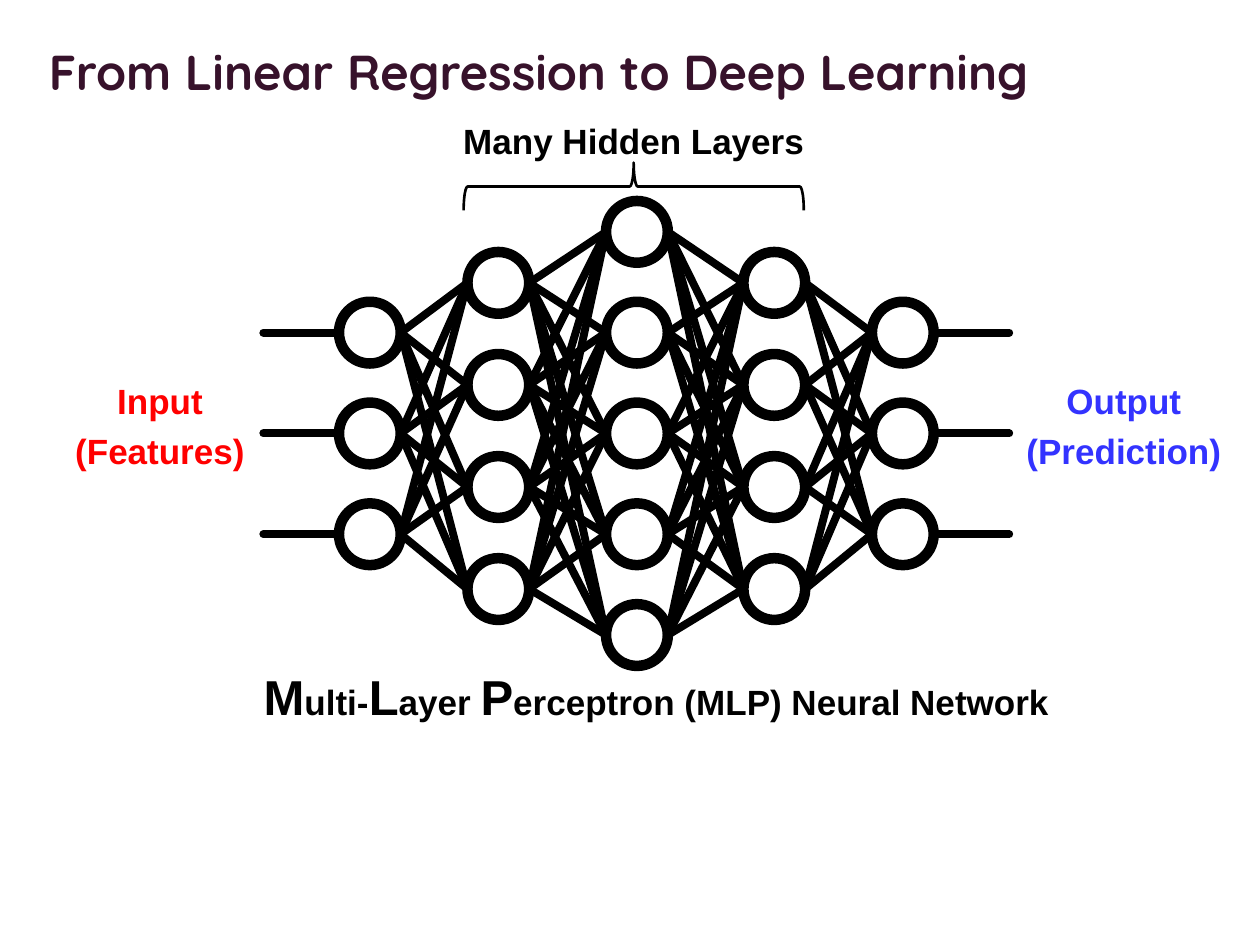
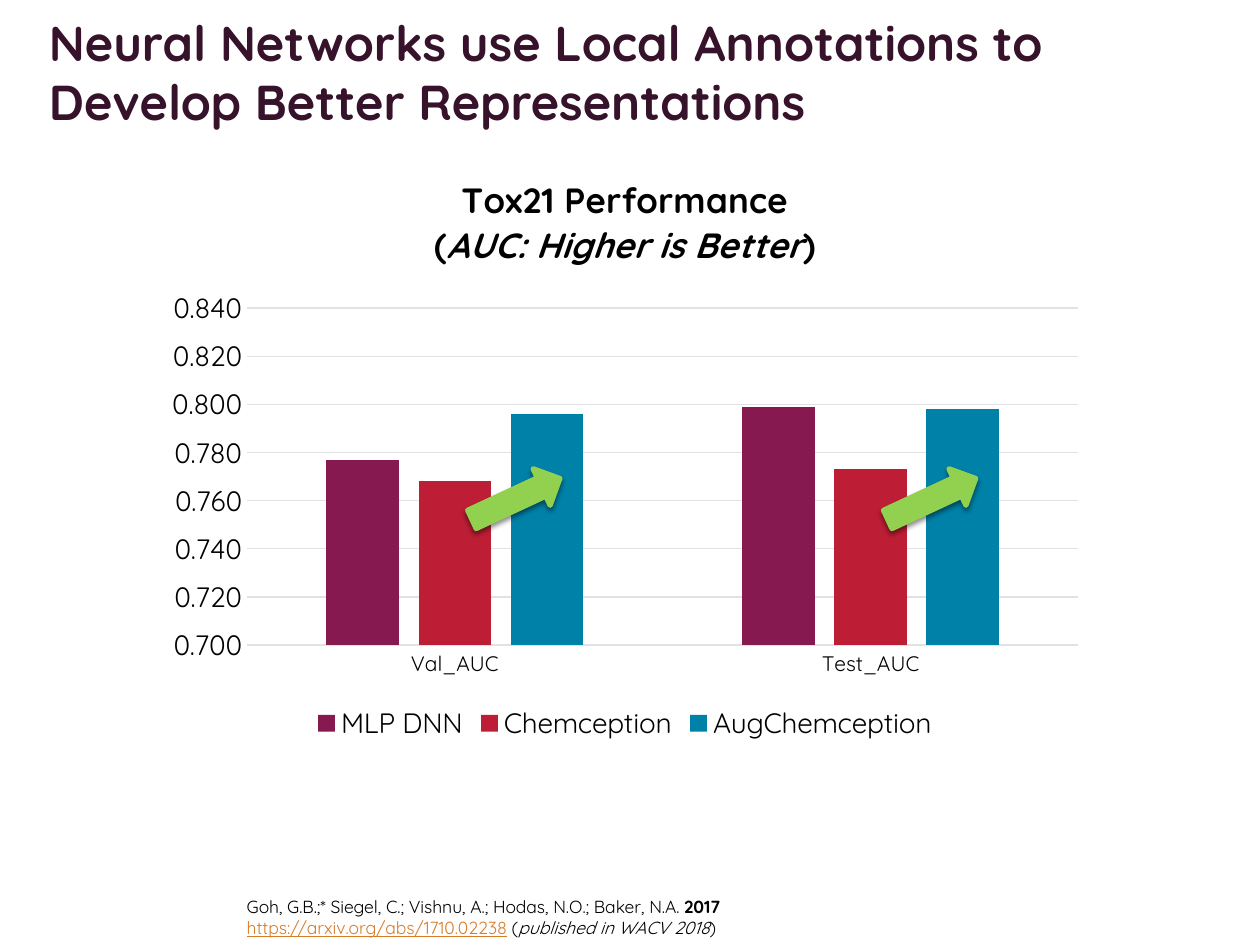
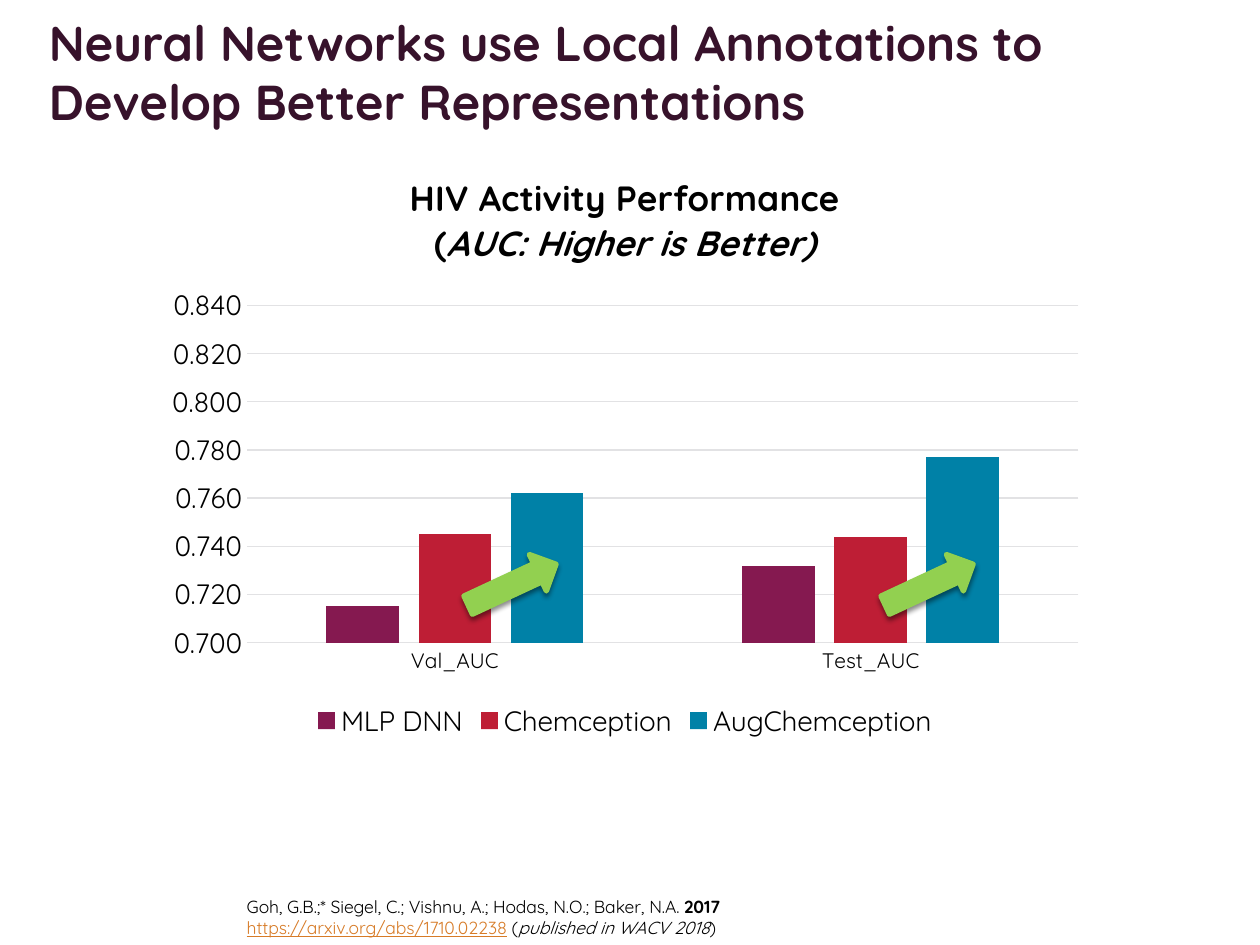
import itertools

import lxml.etree
import pptx
import pptx.chart.data
import pptx.dml.color
import pptx.enum.chart
import pptx.enum.shapes
import pptx.enum.text
import pptx.oxml.ns
import pptx.util

Inches = pptx.util.Inches
Pt = pptx.util.Pt
SHAPE = pptx.enum.shapes.MSO_SHAPE
ALIGN = pptx.enum.text.PP_ALIGN
ANCHOR = pptx.enum.text.MSO_ANCHOR

# Shared style
TITLE_FONT, LABEL_FONT = "Quicksand", "Arial"
PLUM, BLACK, GRID, GREEN = "37122B", "000000", "E2E2E4", "92D050"
RED, BLUE, ORANGE = "FF0000", "3333FF", "D77B27"
NO_MARGINS = (0, 0)
TITLE_BOX = (0.29, 0.18, 9.34, 0.77)

# Slide 1: the network, as (left, nodes, middle, pitch) for each layer
NETWORK_TITLE = "From Linear Regression to Deep Learning"
LAYERS = [
    (2.69, 3, 3.44, 0.8),
    (3.71, 4, 3.46, 0.81),
    (4.81, 5, 3.44, 0.8),
    (5.9, 4, 3.46, 0.81),
    (6.92, 3, 3.44, 0.8),
]
NODE = 0.49
LEAD = 0.6
BIG, SMALL = {"size": 28}, {"size": 20}
LABELS = [
    ((0.29, 3.01, 1.96, 0.74), RED, [[("Input", SMALL)], [("(Features)", SMALL)]]),
    ((7.94, 3.01, 1.96, 0.74), BLUE, [[("Output", SMALL)], [("(Prediction)", SMALL)]]),
    ((3.6, 0.95, 2.86, 0.34), BLACK, [[("Many Hidden Layers", SMALL)]]),
    ((1.96, 5.29, 6.5, 0.47), BLACK, [[
        ("M", BIG), ("ulti-", SMALL), ("L", BIG), ("ayer ", SMALL),
        ("P", BIG), ("erceptron (MLP) Neural Network", SMALL),
    ]]),
]

# Slides 2 and 3: results
RESULT_TITLE = "Neural Networks use Local Annotations to Develop Better Representations"
ITALIC = {"italic": True}
CITATION = [
    [("Goh, G.B.;* Siegel, C.; Vishnu, A.; Hodas, N.O.; Baker, N.A. ", {}),
     ("2017", {"bold": True})],
    [("https://arxiv.org/abs/1710.02238", {"color": ORANGE, "underline": True}),
     (" (", {}), ("published in WACV 2018", ITALIC), (")", {})],
]
CATEGORIES = ["Val_AUC", "Test_AUC"]
SERIES_COLORS = {"MLP DNN": "851950", "Chemception": "BE1E35", "AugChemception": "0081A7"}
RESULTS = [
    {
        "heading": [[("Tox21 Performance", {})],
                    [("(", {}), ("AUC: Higher is Better", ITALIC), (")", {})]],
        "values": [(0.777, 0.799), (0.768, 0.773), (0.796, 0.798)],
        "chart_top": 1.22,
        "arrows": [(3.71, 3.8), (7.01, 3.8)],
    },
    {
        "heading": [[("HIV Activity Performance", {})],
                    [("(", {}), ("AUC: Higher is Better)", ITALIC)]],
        "values": [(0.715, 0.732), (0.745, 0.744), (0.762, 0.777)],
        "chart_top": 1.2,
        "arrows": [(3.68, 4.48), (6.99, 4.48)],
    },
]


def rgb(value):
    return pptx.dml.color.RGBColor.from_string(value)


def add_child(parent, tag, **attributes):
    child = lxml.etree.SubElement(parent, pptx.oxml.ns.qn(tag))
    for name, value in attributes.items():
        child.set(name, str(value))
    return child


def set_font(font, name, size, color=BLACK, bold=False, italic=False, underline=None):
    font.name, font.size = name, Pt(size)
    font.bold, font.italic = bold, italic
    font.color.rgb = rgb(color)
    if underline:
        font.underline = True


def fill_frame(frame, paragraphs, align=None, gap=0, **base):
    """Write paragraphs made of (text, style) spans."""
    for index, spans in enumerate(paragraphs):
        para = frame.paragraphs[0] if index == 0 else frame.add_paragraph()
        if align is not None:
            para.alignment = align
        if index and gap:
            para.space_before = Pt(gap)
        for text, style in spans:
            span = para.add_run()
            span.text = text
            set_font(span.font, **{**base, **style})


def add_text(page, place, paragraphs, margins=(0.1, 0.05), anchor=ANCHOR.TOP, **style):
    box = page.shapes.add_textbox(*map(Inches, place))
    frame = box.text_frame
    frame.word_wrap = True
    frame.vertical_anchor = anchor
    frame.margin_left = frame.margin_right = Inches(margins[0])
    frame.margin_top = frame.margin_bottom = Inches(margins[1])
    fill_frame(frame, paragraphs, **style)


def add_page(deck, title):
    page = deck.slides.add_slide(deck.slide_layouts[6])
    add_text(page, TITLE_BOX, [[(title, {})]], anchor=ANCHOR.MIDDLE,
             name=TITLE_FONT, size=28, color=PLUM, bold=True)
    return page


def add_outline(page, kind, place, color, width, fill=None):
    shape = page.shapes.add_shape(kind, *map(Inches, place))
    shape.shadow.inherit = False
    if fill:
        shape.fill.solid()
        shape.fill.fore_color.rgb = rgb(fill)
    else:
        shape.fill.background()
    shape.line.color.rgb = rgb(color)
    shape.line.width = Pt(width)
    return shape


def add_link(page, start, end):
    link = page.shapes.add_connector(
        pptx.enum.shapes.MSO_CONNECTOR.STRAIGHT, *map(Inches, (*start, *end)))
    link.line.color.rgb = rgb(BLACK)
    link.line.width = Pt(4.5)
    link.line._get_or_add_ln().set("cap", "rnd")
    add_child(link._element.spPr, "a:effectLst")


def draw_network(page):
    columns = [
        (left, [middle + (row - (count - 1) / 2) * pitch for row in range(count)])
        for left, count, middle, pitch in LAYERS
    ]
    # Neurons
    for left, centres in columns:
        for centre in centres:
            add_outline(page, SHAPE.OVAL, (left, centre - NODE / 2, NODE, NODE), BLACK, 6)
    # Every neuron to every neuron of the next layer
    for (left, here), (next_left, there) in itertools.pairwise(columns):
        for start, end in itertools.product(here, there):
            add_link(page, (left + NODE, start), (next_left, end))
    # Inputs and outputs
    first, last = columns[0], columns[-1]
    for centre in first[1]:
        add_link(page, (first[0] - LEAD, centre), (first[0], centre))
    for centre in last[1]:
        add_link(page, (last[0] + NODE, centre), (last[0] + NODE + LEAD, centre))


def build_network_page(deck):
    page = add_page(deck, NETWORK_TITLE)
    draw_network(page)
    for place, color, paragraphs in LABELS:
        add_text(page, place, paragraphs, margins=NO_MARGINS, align=ALIGN.CENTER,
                 gap=5, name=LABEL_FONT, size=20, color=color, bold=True)
    brace = add_outline(page, SHAPE.RIGHT_BRACE, (4.84, 0.13, 0.38, 2.7), BLACK, 1.5)
    brace.rotation = 270


def add_result_chart(page, result):
    data = pptx.chart.data.CategoryChartData(number_format="0.000")
    data.categories = CATEGORIES
    for name, values in zip(SERIES_COLORS, result["values"]):
        data.add_series(name, values)
    place = map(Inches, (1.21, result["chart_top"], 7.5, 4.7))
    chart = page.shapes.add_chart(
        pptx.enum.chart.XL_CHART_TYPE.COLUMN_CLUSTERED, *place, data).chart
    set_font(chart.font, TITLE_FONT, 12)

    chart.has_title = True
    fill_frame(chart.chart_title.text_frame, result["heading"],
               name=TITLE_FONT, size=20, bold=True)
    chart.chart_title.include_in_layout = False
    chart.has_legend = True
    chart.legend.position = pptx.enum.chart.XL_LEGEND_POSITION.BOTTOM
    chart.legend.include_in_layout = False
    set_font(chart.legend.font, TITLE_FONT, 16)

    # Bars
    plot = chart.plots[0]
    plot.gap_width, plot.overlap = 219, -27
    plot.vary_by_categories = False
    for series, color in zip(plot.series, SERIES_COLORS.values()):
        series.invert_if_negative = False
        series.format.fill.solid()
        series.format.fill.fore_color.rgb = rgb(color)

    # Axes
    scale = chart.value_axis
    scale.minimum_scale, scale.maximum_scale, scale.major_unit = 0.7, 0.85, 0.02
    scale.tick_labels.number_format = "0.000"
    scale.tick_labels.number_format_is_linked = False
    scale.format.line.fill.background()
    for axis, size in ((chart.category_axis, 12), (scale, 16)):
        axis.major_tick_mark = axis.minor_tick_mark = pptx.enum.chart.XL_TICK_MARK.NONE
        set_font(axis.tick_labels.font, TITLE_FONT, size)
    for line in (chart.category_axis.format.line, scale.major_gridlines.format.line):
        line.color.rgb = rgb(GRID)
        line.width = Pt(0.75)

    # Plot area, as shares of the chart
    plot_area = chart._chartSpace.chart.plotArea
    for old in plot_area.findall(pptx.oxml.ns.qn("c:layout")):
        plot_area.remove(old)
    layout = add_child(plot_area, "c:layout")
    plot_area.insert(0, layout)
    manual = add_child(layout, "c:manualLayout")
    settings = {"layoutTarget": "inner", "xMode": "edge", "yMode": "edge",
                "x": 0.1, "y": 0.22, "w": 0.88, "h": 0.61}
    for name, value in settings.items():
        add_child(manual, "c:" + name, val=value)


def add_rise_arrow(page, left, top):
    arrow = add_outline(page, SHAPE.RIGHT_ARROW, (left, top, 0.77, 0.32), GREEN, 3, GREEN)
    arrow.rotation = 335
    effects = arrow._element.spPr.find(pptx.oxml.ns.qn("a:effectLst"))
    shadow = add_child(effects, "a:outerShdw", blurRad=Pt(3), dist=Pt(2),
                       dir=90 * 60000, rotWithShape=0)
    add_child(add_child(shadow, "a:srgbClr", val=BLACK), "a:alpha", val=45000)


def build_result_page(deck, result):
    page = add_page(deck, RESULT_TITLE)
    add_text(page, (1.86, 7.06, 4.43, 0.44), CITATION, name=TITLE_FONT, size=10)
    add_result_chart(page, result)
    for left, top in result["arrows"]:
        add_rise_arrow(page, left, top)


def main():
    deck = pptx.Presentation()
    deck.slide_width, deck.slide_height = Inches(10), Inches(7.5)
    build_network_page(deck)
    for result in RESULTS:
        build_result_page(deck, result)
    deck.save("out.pptx")


if __name__ == "__main__":
    main()
